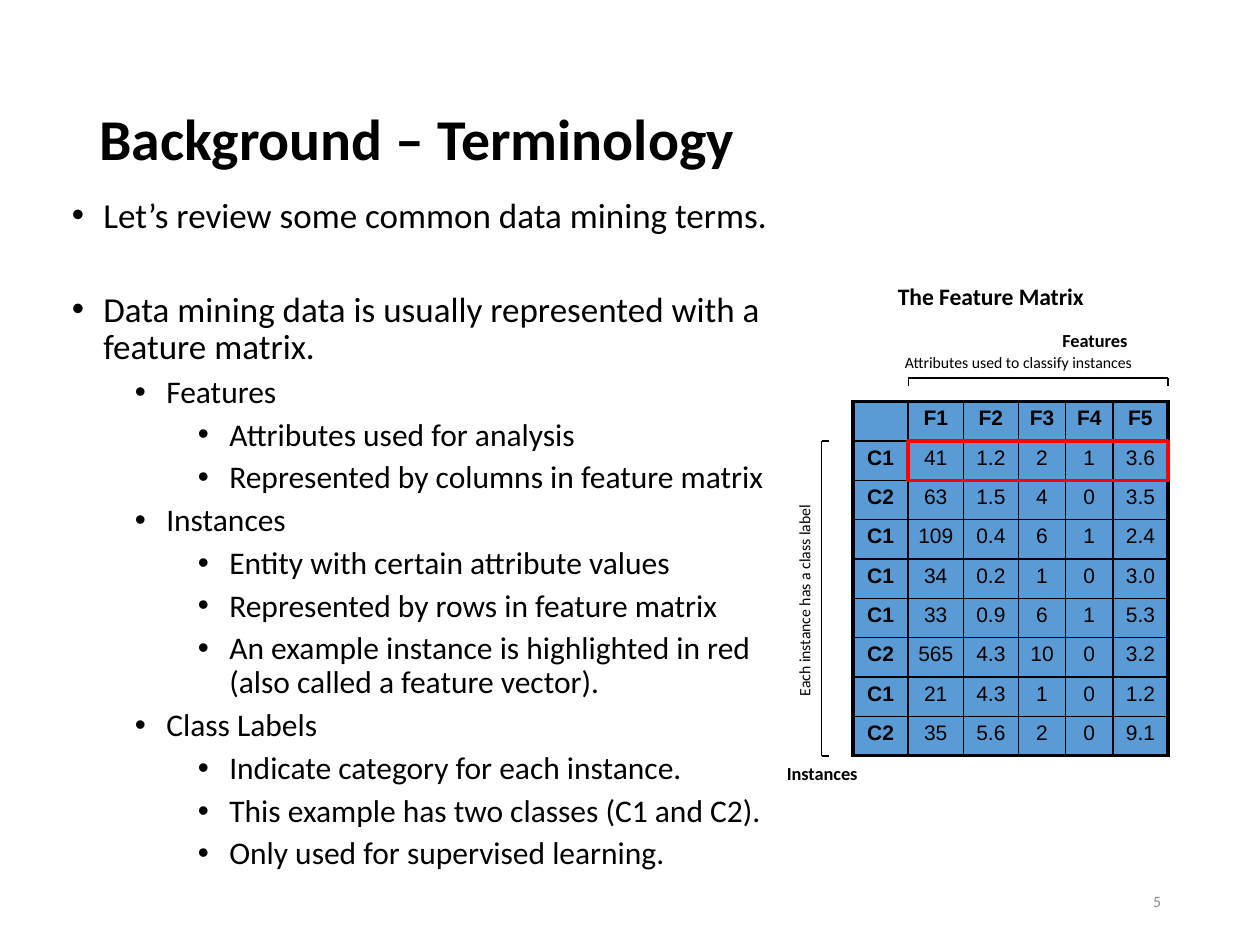
from lxml.etree import SubElement
from pptx import Presentation
from pptx.dml.color import RGBColor
from pptx.enum.shapes import MSO_CONNECTOR, MSO_SHAPE
from pptx.enum.text import MSO_ANCHOR, MSO_AUTO_SIZE, PP_ALIGN
from pptx.oxml.ns import qn
from pptx.util import Inches, Pt


def add_span(para, text, size, bold=False, face="Calibri", color="000000"):
    span = para.add_run()
    span.text = text
    span.font.size = Pt(size)
    span.font.bold = bold
    span.font.name = face
    span.font.color.rgb = RGBColor.from_string(color)


def grid(*counts):
    return [round(count * unit) for count in counts]


deck = Presentation()
deck.slide_width, deck.slide_height = Inches(10), Inches(7.5)
unit = deck.slide_width / 160
page = deck.slides.add_slide(deck.slide_layouts[1])

title = page.shapes.title
title.left, title.top, title.width, title.height = grid(11, 6.4, 138, 23.2)
title.text_frame.vertical_anchor = MSO_ANCHOR.MIDDLE
title.text_frame.auto_size = MSO_AUTO_SIZE.NONE
para = title.text_frame.paragraphs[0]
para.alignment = PP_ALIGN.LEFT
para.line_spacing = 0.9
add_span(para, "Background – Terminology", 33, True)

body = page.placeholders[1]
body.left, body.top, body.width, body.height = grid(0, 24.5, 100.8, 73)
frame = body.text_frame
frame.auto_size = MSO_AUTO_SIZE.NONE
frame.vertical_anchor = MSO_ANCHOR.TOP
frame.margin_left = frame.margin_right = Inches(0.07)
frame.margin_top = frame.margin_bottom = Inches(0.04)
terms = [
    (1, "Let’s review some common data mining terms.", 0),
    (1, "Data mining data is usually represented with a feature matrix.", 32),
    (2, "Features", 5),
    (3, "Attributes used for analysis", 5),
    (3, "Represented by columns in feature matrix", 5),
    (2, "Instances", 5),
    (3, "Entity with certain attribute values", 5),
    (3, "Represented by rows in feature matrix", 5),
    (3, "An example instance is highlighted in red (also called a feature vector).", 5),
    (2, "Class Labels", 5),
    (3, "Indicate category for each instance.", 5),
    (3, "This example has two classes (C1 and C2).", 5),
    (3, "Only used for supervised learning.", 5),
]
for index, (level, text, gap) in enumerate(terms):
    para = frame.add_paragraph() if index else frame.paragraphs[0]
    para.level = level
    props = para._p.get_or_add_pPr()
    props.set("marL", str(Inches(0.25 + 0.5 * level)))
    props.set("indent", str(Inches(-0.25)))
    SubElement(props, qn("a:buFont")).set("typeface", "Arial")
    SubElement(props, qn("a:buChar")).set("char", "•")
    para.alignment = PP_ALIGN.LEFT
    para.line_spacing = 0.9
    para.space_before = Pt(gap)
    add_span(para, text, 20 if level == 1 else 18)

matrix = [
    ["", "F1", "F2", "F3", "F4", "F5"],
    ["C1", "41", "1.2", "2", "1", "3.6"],
    ["C2", "63", "1.5", "4", "0", "3.5"],
    ["C1", "109", "0.4", "6", "1", "2.4"],
    ["C1", "34", "0.2", "1", "0", "3.0"],
    ["C1", "33", "0.9", "6", "1", "5.3"],
    ["C2", "565", "4.3", "10", "0", "3.2"],
    ["C1", "21", "4.3", "1", "0", "1.2"],
    ["C2", "35", "5.6", "2", "0", "9.1"],
]
column_units = [7, 7, 7, 6, 6, 7]
row_units = 5
left, top = 108.33, 51
width, height = sum(column_units), row_units * len(matrix)
right, bottom = left + width, top + height
first_feature, first_instance = left + column_units[0], top + row_units

table = page.shapes.add_table(
    len(matrix), len(column_units), *grid(left, top, width, height)
).table
table.first_row = table.horz_banding = False
for column, count in zip(table.columns, column_units):
    column.width = round(count * unit)
for r, values in enumerate(matrix):
    table.rows[r].height = round(row_units * unit)
    for c, value in enumerate(values):
        cell = table.cell(r, c)
        cell.margin_left = cell.margin_right = Inches(0.07)
        cell.margin_top = cell.margin_bottom = Inches(0.04)
        outer_sides = {
            "a:lnL": c == 0,
            "a:lnR": c == len(values) - 1,
            "a:lnT": r == 0,
            "a:lnB": r == len(matrix) - 1,
        }
        for side, outer in outer_sides.items():
            border = SubElement(cell._tc.get_or_add_tcPr(), qn(side))
            border.set("w", str(Pt(2.25 if outer else 1)))
            paint = SubElement(border, qn("a:solidFill"))
            SubElement(paint, qn("a:srgbClr")).set("val", "000000")
        cell.fill.solid()
        cell.fill.fore_color.rgb = RGBColor.from_string("5B9BD5")
        para = cell.text_frame.paragraphs[0]
        para.alignment = PP_ALIGN.CENTER
        if value:
            add_span(para, value, 12, r == 0 or c == 0, "Arial")
        else:
            SubElement(para._p, qn("a:endParaRPr")).set("sz", "1200")

feature_bracket, instance_bracket = 48, 104.33
bracket_lines = [
    (first_feature, feature_bracket, right, feature_bracket),
    (first_feature, feature_bracket, first_feature, feature_bracket + 1),
    (right, feature_bracket, right, feature_bracket + 1),
    (instance_bracket, first_instance, instance_bracket, bottom),
    (instance_bracket, first_instance, instance_bracket + 1, first_instance),
    (instance_bracket, bottom, instance_bracket + 1, bottom),
]
for ends in bracket_lines:
    line = page.shapes.add_connector(MSO_CONNECTOR.STRAIGHT, *grid(*ends))
    line.line.color.rgb = RGBColor.from_string("000000")
    line.line.width = Pt(0.75)
    SubElement(line._element.spPr, qn("a:effectLst"))

highlight = page.shapes.add_shape(
    MSO_SHAPE.RECTANGLE,
    *grid(first_feature, first_instance, right - first_feature, row_units),
)
highlight.shadow.inherit = False
highlight.fill.background()
highlight.line.color.rgb = RGBColor.from_string("FF0000")
highlight.line.width = Pt(2)

labels = [
    ("Attributes used to classify instances", (113.33, 44, 36, 4), 9, False, "000000", PP_ALIGN.LEFT, 0),
    ("Each instance has a class label", (85.6, 71.5, 33, 4), 9, False, "000000", PP_ALIGN.LEFT, 270),
    ("Features", (133.33, 41, 17, 4.4), 10.5, True, "000000", PP_ALIGN.LEFT, 0),
    ("Instances", (98.33, 96, 17, 4.4), 10.5, True, "000000", PP_ALIGN.LEFT, 0),
    ("The Feature Matrix", (100.33, 35, 51, 5.2), 13.5, True, "000000", PP_ALIGN.CENTER, 0),
    ("5", (113, 111.2, 36, 6.4), 9, False, "8C8C8C", PP_ALIGN.RIGHT, 0),
]
for text, place, size, bold, color, alignment, turn in labels:
    box = page.shapes.add_textbox(*grid(*place))
    box.rotation = turn
    box.text_frame.word_wrap = True
    if alignment == PP_ALIGN.RIGHT:
        box.text_frame.vertical_anchor = MSO_ANCHOR.MIDDLE
    para = box.text_frame.paragraphs[0]
    para.alignment = alignment
    add_span(para, text, size, bold, color=color)

deck.save("out.pptx")
